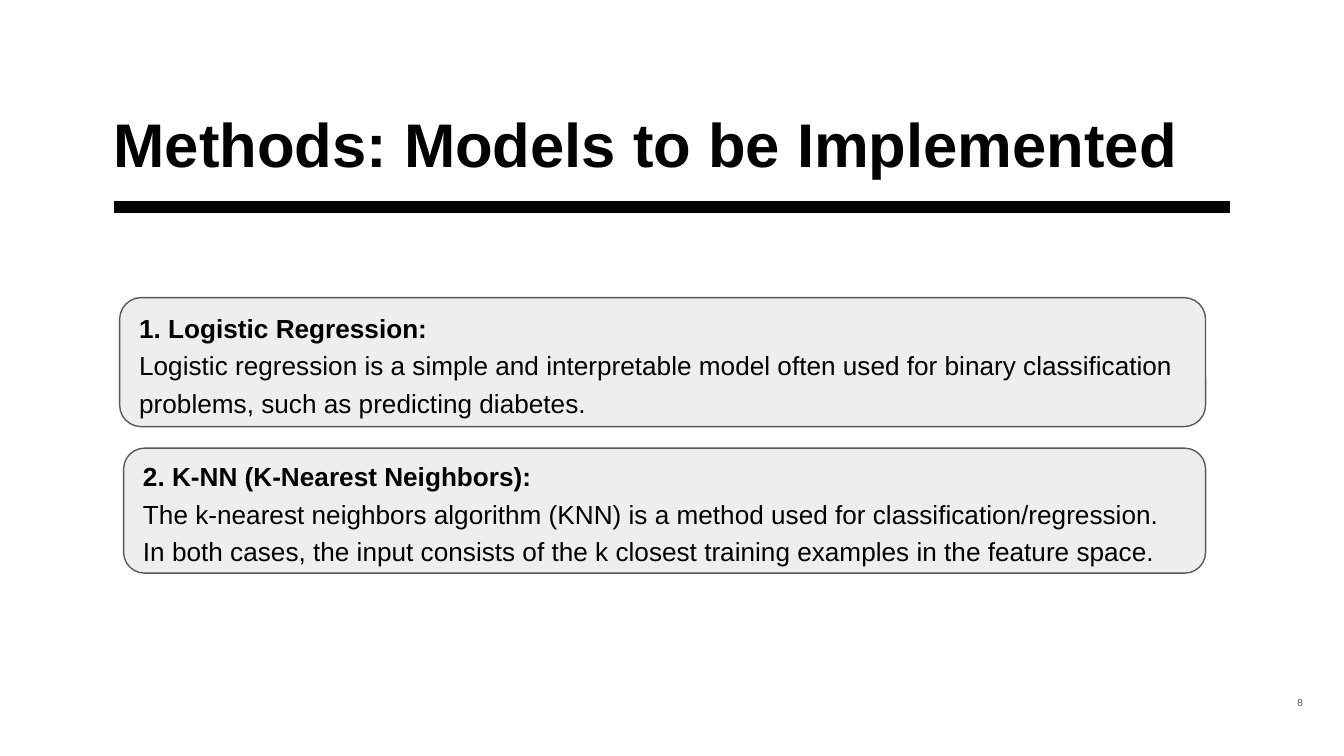
from dataclasses import dataclass

from lxml.etree import SubElement
from pptx import Presentation
from pptx.dml.color import RGBColor
from pptx.enum.shapes import MSO_CONNECTOR, MSO_SHAPE
from pptx.enum.text import MSO_ANCHOR, MSO_AUTO_SIZE, PP_ALIGN
from pptx.oxml.ns import qn
from pptx.util import Pt

EMU_PER_PX = 4572


@dataclass(frozen=True)
class Theme:
    font: str = "Arial"
    ink: str = "000000"
    muted: str = "595959"
    panel: str = "EEEEEE"
    background: str = "FFFFFF"
    title_size: float = 33
    body_size: float = 14
    number_size: float = 5.5


THEME = Theme()

MODELS = [
    ((178, 443, 1616, 192), "1. Logistic Regression:",
     "Logistic regression is a simple and interpretable model often used for "
     "binary classification problems, such as predicting diabetes."),
    ((184, 667, 1610, 186), "2. K-NN (K-Nearest Neighbors):",
     "The k-nearest neighbors algorithm (KNN) is a method used for "
     "classification/regression. In both cases, the input consists of the k "
     "closest training examples in the feature space."),
]


def px(length):
    return length * EMU_PER_PX


def color(value):
    return RGBColor.from_string(value)


def set_all(target, values):
    for name, value in values.items():
        setattr(target, name, value)


def format_frame(frame, anchor, side, top):
    set_all(frame, {
        "word_wrap": True, "auto_size": MSO_AUTO_SIZE.NONE,
        "vertical_anchor": anchor,
        "margin_left": px(side), "margin_right": px(side),
        "margin_top": px(top), "margin_bottom": px(top),
    })


def write(para, text, size, ink, bold=False, spacing=1.0, align=PP_ALIGN.LEFT):
    set_all(para, {"alignment": align, "line_spacing": spacing,
                   "space_before": Pt(0), "space_after": Pt(0)})
    span = para.add_run()
    span.text = text
    set_all(span.font, {"name": THEME.font, "size": Pt(size), "bold": bold})
    span.font.color.rgb = color(ink)


def add_title(page, text):
    title = page.shapes.title
    set_all(title, {"left": px(169), "top": px(163),
                    "width": px(1736), "height": px(106)})
    format_frame(title.text_frame, MSO_ANCHOR.BOTTOM, 0, 0)
    write(title.text_frame.paragraphs[0], text, THEME.title_size, THEME.ink,
          bold=True, spacing=0.9)


def add_rule(page, left, right, height):
    rule = page.shapes.add_connector(
        MSO_CONNECTOR.STRAIGHT, px(left), px(height), px(right), px(height))
    rule.line.color.rgb = color(THEME.ink)
    rule.line.width = Pt(6)
    SubElement(rule.element.spPr, qn("a:effectLst"))


def add_model(page, place, heading, description):
    box = page.shapes.add_shape(MSO_SHAPE.ROUNDED_RECTANGLE, *map(px, place))
    box.shadow.inherit = False
    box.fill.solid()
    box.fill.fore_color.rgb = color(THEME.panel)
    box.line.color.rgb = color(THEME.muted)
    box.line.width = Pt(0.75)
    frame = box.text_frame
    format_frame(frame, MSO_ANCHOR.MIDDLE, 20, 20)
    write(frame.paragraphs[0], heading, THEME.body_size, THEME.ink,
          bold=True, spacing=1.2)
    write(frame.add_paragraph(), description, THEME.body_size, THEME.ink,
          spacing=1.2)


def add_page_number(page, number):
    box = page.shapes.add_textbox(px(1885), px(1032), px(68), px(30))
    format_frame(box.text_frame, MSO_ANCHOR.MIDDLE, 14, 8)
    write(box.text_frame.paragraphs[0], number, THEME.number_size, THEME.muted,
          spacing=0.8, align=PP_ALIGN.RIGHT)


def main():
    deck = Presentation()
    set_all(deck, {"slide_width": px(2000), "slide_height": px(1125)})
    page = deck.slides.add_slide(deck.slide_layouts.get_by_name("Title Only"))
    page.background.fill.solid()
    page.background.fill.fore_color.rgb = color(THEME.background)
    add_rule(page, 170, 1830, 308)
    add_title(page, "Methods: Models to be Implemented")
    add_page_number(page, "8")
    for place, heading, description in MODELS:
        add_model(page, place, heading, description)
    deck.save("out.pptx")


if __name__ == "__main__":
    main()
